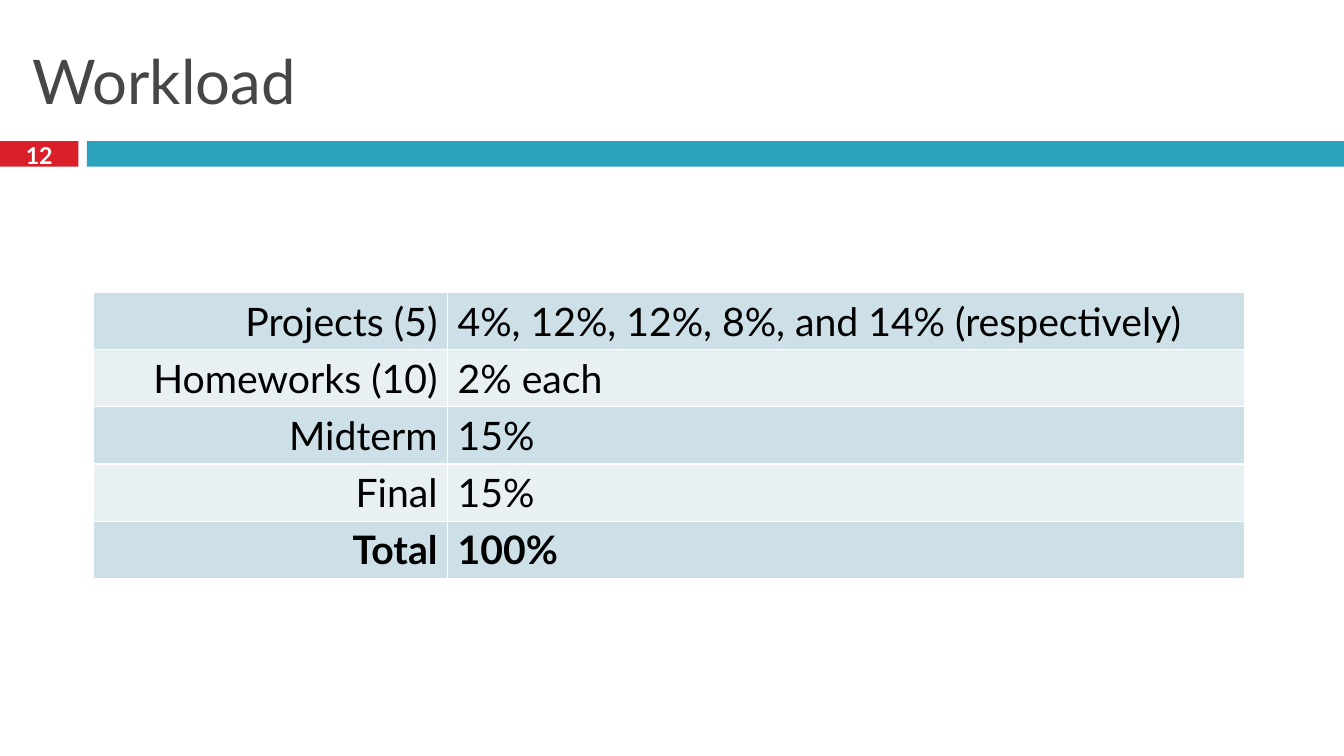
"""Build the Workload slide with its grading table."""
from dataclasses import dataclass

from lxml import etree
from pptx import Presentation
from pptx.dml.color import RGBColor
from pptx.enum.shapes import MSO_SHAPE
from pptx.enum.text import MSO_ANCHOR, PP_ALIGN
from pptx.oxml.ns import qn
from pptx.util import Cm, Pt

RECTANGLE = MSO_SHAPE.RECTANGLE
MIDDLE = MSO_ANCHOR.MIDDLE
LEFT, CENTER, RIGHT = PP_ALIGN.LEFT, PP_ALIGN.CENTER, PP_ALIGN.RIGHT


@dataclass(frozen=True)
class Theme:
    font: str = "Lato"
    title: str = "464646"
    text: str = "000000"
    white: str = "FFFFFF"
    red: str = "DA1F28"
    teal: str = "2DA2BF"
    bands: tuple = ("CDE0E8", "E8F0F4")
    title_size: float = 44
    table_size: float = 28
    number_size: float = 16.6
    border_width: float = 1


theme = Theme()


def write(text_frame, text, size, color, alignment, bold=False):
    text_frame.text = text
    text_frame.word_wrap = True
    paragraph = text_frame.paragraphs[0]
    paragraph.alignment = alignment
    font = paragraph.runs[0].font
    font.name, font.size, font.bold = theme.font, Pt(size), bold
    font.color.rgb = RGBColor.from_string(color)


def add_borders(cell):
    properties = cell._tc.get_or_add_tcPr()
    for position, side in enumerate(("lnL", "lnR", "lnT", "lnB")):
        line = etree.Element(qn(f"a:{side}"), w=str(Pt(theme.border_width)))
        fill = etree.SubElement(line, qn("a:solidFill"))
        etree.SubElement(fill, qn("a:srgbClr"), val=theme.white)
        properties.insert(position, line)


presentation = Presentation()
presentation.slide_width, presentation.slide_height = Cm(33.87), Cm(19.05)
slide = presentation.slides.add_slide(presentation.slide_layouts[5])

for left, width, color in ((0, 1.98, theme.red), (2.19, 31.68, theme.teal)):
    bar = slide.shapes.add_shape(RECTANGLE, Cm(left), Cm(3.56), Cm(width), Cm(0.64))
    bar.shadow.inherit = False
    bar.fill.solid()
    bar.fill.fore_color.rgb = RGBColor.from_string(color)
    bar.line.fill.background()

title = slide.shapes.title
title.left, title.top, title.width, title.height = Cm(0.56), Cm(0.64), Cm(32.74), Cm(2.74)
write(title.text_frame, "Workload", theme.title_size, theme.title, LEFT)
title.text_frame.vertical_anchor = MIDDLE

number = slide.shapes.add_textbox(0, Cm(3.48), Cm(1.98), Cm(0.84))
write(number.text_frame, "12", theme.number_size, theme.white, CENTER, bold=True)
number.text_frame.vertical_anchor = MIDDLE

workload = (
    ("Projects (5)", "4%, 12%, 12%, 8%, and 14% (respectively)"),
    ("Homeworks (10)", "2% each"),
    ("Midterm", "15%"),
    ("Final", "15%"),
    ("Total", "100%"),
)
row_height = Cm(1.44)
table = slide.shapes.add_table(
    len(workload), 2, Cm(2.36), Cm(7.37), Cm(29), row_height * len(workload)
).table
table.first_row = False
table.columns[0].width, table.columns[1].width = Cm(8.92), Cm(20.09)

for row_index, entry in enumerate(workload):
    table.rows[row_index].height = row_height
    is_total = row_index == len(workload) - 1
    for column_index, alignment in enumerate((RIGHT, LEFT)):
        cell = table.cell(row_index, column_index)
        write(cell.text_frame, entry[column_index], theme.table_size,
              theme.text, alignment, bold=is_total)
        cell.fill.solid()
        cell.fill.fore_color.rgb = RGBColor.from_string(theme.bands[row_index % 2])
        add_borders(cell)

presentation.save("out.pptx")
